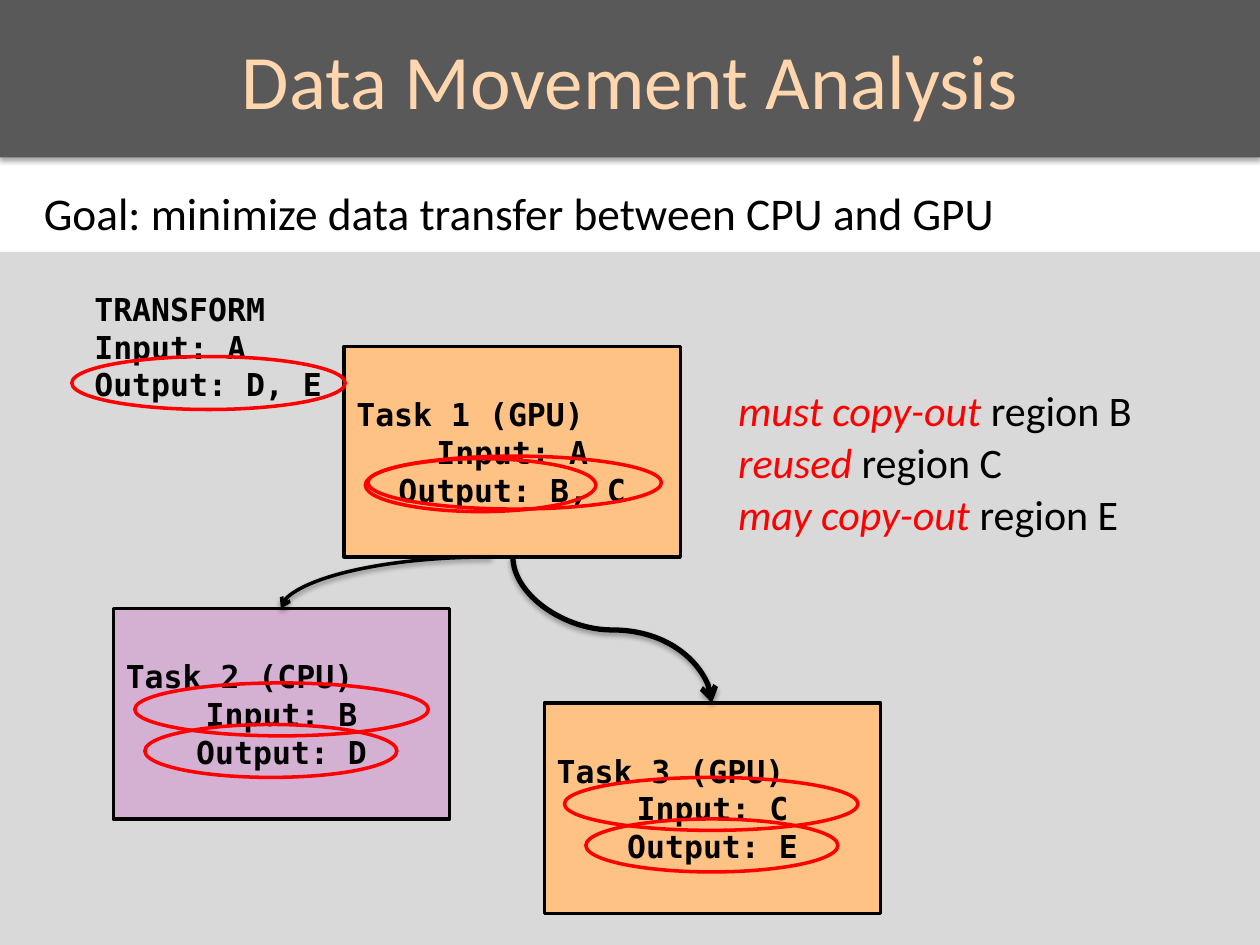
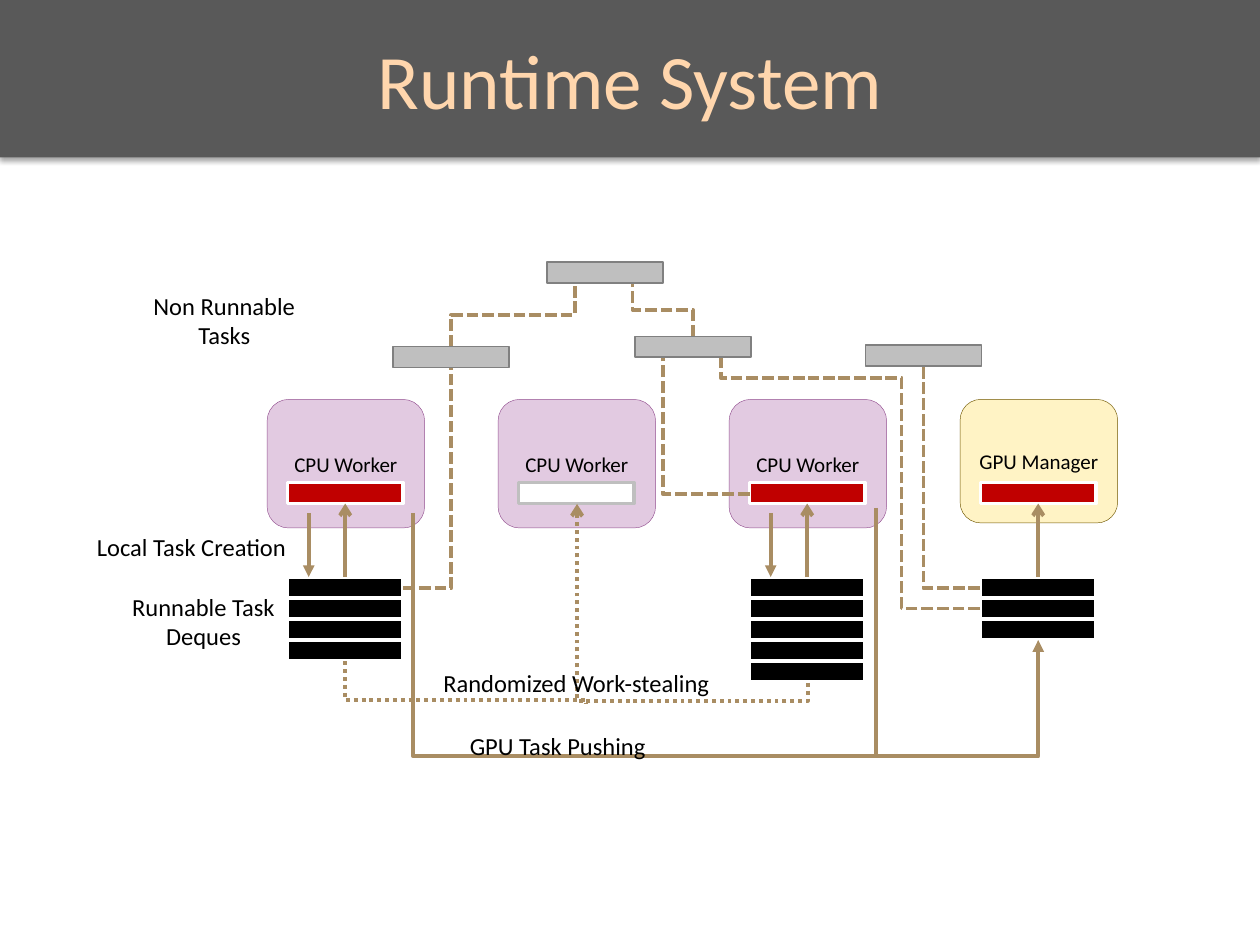
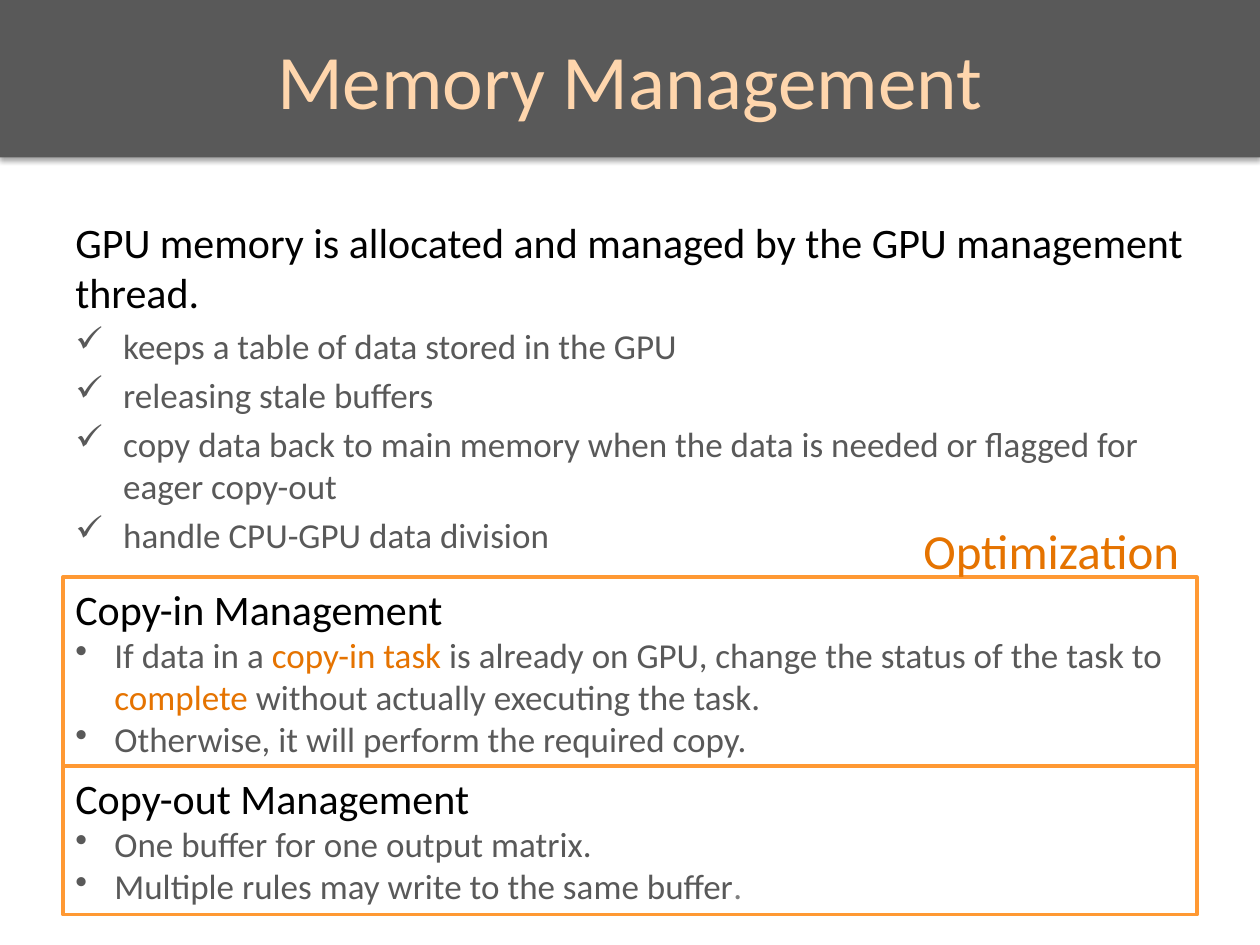
from dataclasses import dataclass
from typing import NamedTuple

from lxml.etree import SubElement
from pptx import Presentation
from pptx.dml.color import RGBColor
from pptx.enum.dml import MSO_LINE
from pptx.enum.shapes import MSO_CONNECTOR, MSO_SHAPE
from pptx.enum.text import MSO_ANCHOR, MSO_AUTO_SIZE, PP_ALIGN
from pptx.oxml.ns import qn
from pptx.util import Inches, Pt

COLORS = {
    "black": "000000", "white": "FFFFFF", "red": "FF0000", "band": "595959",
    "title": "FFD6AD", "panel": "D9D9D9", "gpu_task": "FFC285", "cpu_task": "D4B0D2",
    "cpu": "E2CAE1", "cpu_edge": "945191", "gpu": "FFF3C5", "gpu_edge": "6F5700",
    "busy": "C00000", "silver": "BFBFBF", "gray": "808080", "route": "A98D63",
    "body": "595959", "frame": "FF9933", "accent": "E57300",
}
BODY_FONT, CODE_FONT = "Calibri", "DejaVu Sans Mono"


class Box(NamedTuple):
    left: float
    top: float
    width: float
    height: float


class Run(NamedTuple):
    text: str
    color: str | None = None
    italic: bool = False


@dataclass(frozen=True)
class Paragraph:
    runs: tuple[Run, ...]
    align: PP_ALIGN | None = None
    size: float | None = None
    bullet: str = ""
    indent: float = 0
    before: float = 0


@dataclass(frozen=True)
class Route:
    start: tuple[float, float]
    end: tuple[float, float]
    preset: str = "line"
    vertical_first: bool = False
    adjust: float | None = None
    dash: MSO_LINE | None = None
    tip: str = ""
    color: str = "route"
    width: float = 2.25
    shadow: int = 0


@dataclass(frozen=True)
class Task:
    left: float
    top: float
    lines: tuple[str, str, str]
    fill: str


@dataclass(frozen=True)
class Worker:
    label: str
    queued: int
    creates: bool = True
    fill: str = "cpu"
    edge: str = "cpu_edge"
    height: float = 1.02


def rgb(name: str) -> RGBColor:
    return RGBColor.from_string(COLORS[name])


def plain(*texts: str, **options) -> list[Paragraph]:
    """Make one single-run paragraph per text."""
    return [Paragraph((Run(text),), **options) for text in texts]


def write(shape, paragraphs, *, size, font=BODY_FONT, color="black", bold=False,
          align=PP_ALIGN.LEFT, anchor=MSO_ANCHOR.TOP, wrap=True, grow=False) -> None:
    frame = shape.text_frame
    frame.word_wrap = wrap
    frame.vertical_anchor = anchor
    frame.auto_size = MSO_AUTO_SIZE.SHAPE_TO_FIT_TEXT if grow else MSO_AUTO_SIZE.NONE
    for index, content in enumerate(paragraphs):
        paragraph = frame.add_paragraph() if index else frame.paragraphs[0]
        paragraph.alignment = align if content.align is None else content.align
        paragraph.space_before = Pt(content.before)
        if content.bullet:
            properties = paragraph._p.get_or_add_pPr()
            properties.set("marL", str(Inches(content.indent)))
            properties.set("indent", str(-Inches(content.indent)))
            SubElement(properties, qn("a:buChar"), char=content.bullet)
        for part in content.runs:
            run = paragraph.add_run()
            run.text = part.text
            run.font.name = font
            run.font.size = Pt(content.size or size)
            run.font.bold = bold
            run.font.italic = part.italic
            run.font.color.rgb = rgb(part.color or color)


def add_shadow(properties, alpha: int) -> None:
    effects = properties.find(qn("a:effectLst"))
    shadow = SubElement(effects, qn("a:outerShdw"), blurRad=str(Pt(3.1)), dist=str(Pt(1.8)),
                        dir="5400000", rotWithShape="0")
    tint = SubElement(shadow, qn("a:srgbClr"), val=COLORS["black"])
    SubElement(tint, qn("a:alpha"), val=str(alpha * 1000))


def add_box(slide, box: Box, kind=MSO_SHAPE.RECTANGLE, fill="", line="", width=2.0):
    shape = slide.shapes.add_shape(kind, *map(Inches, box))
    shape.shadow.inherit = False
    if fill:
        shape.fill.solid()
        shape.fill.fore_color.rgb = rgb(fill)
    else:
        shape.fill.background()
    if line:
        shape.line.color.rgb = rgb(line)
        shape.line.width = Pt(width)
    else:
        shape.line.fill.background()
    return shape


def add_text(slide, box: Box, paragraphs, **options) -> None:
    write(slide.shapes.add_textbox(*map(Inches, box)), paragraphs, **options)


def add_label(slide, box: Box, paragraphs, **options) -> None:
    add_text(slide, box, paragraphs, wrap=False, grow=True, **options)


def turn_vertical(properties, route: Route) -> None:
    """Turn a connector so that its first leg runs vertically."""
    (x1, y1), (x2, y2) = route.start, route.end
    width, height = abs(y2 - y1), abs(x2 - x1)
    frame = properties.find(qn("a:xfrm"))
    frame.set("rot", "16200000")
    frame.set("flipH", str(int(y2 > y1)))
    frame.set("flipV", str(int(x2 < x1)))
    offset, extent = frame.find(qn("a:off")), frame.find(qn("a:ext"))
    offset.set("x", str(Inches((x1 + x2 - width) / 2)))
    offset.set("y", str(Inches((y1 + y2 - height) / 2)))
    extent.set("cx", str(Inches(width)))
    extent.set("cy", str(Inches(height)))


def add_route(slide, route: Route):
    connector = slide.shapes.add_connector(
        MSO_CONNECTOR.STRAIGHT, *map(Inches, (*route.start, *route.end)))
    connector.line.color.rgb = rgb(route.color)
    connector.line.width = Pt(route.width)
    if route.dash:
        connector.line.dash_style = route.dash
    properties = connector._element.spPr
    if route.tip:
        SubElement(properties.find(qn("a:ln")), qn("a:tailEnd"), type=route.tip)
    SubElement(properties, qn("a:effectLst"))
    if route.shadow:
        add_shadow(properties, route.shadow)
    geometry = properties.find(qn("a:prstGeom"))
    geometry.set("prst", route.preset)
    if route.adjust is not None:
        SubElement(geometry.find(qn("a:avLst")), qn("a:gd"), name="adj1",
                   fmla=f"val {round(route.adjust * 100000)}")
    if route.vertical_first:
        turn_vertical(properties, route)
    return connector


def start_slide(deck, title: str):
    slide = deck.slides.add_slide(deck.slide_layouts[6])
    band = add_box(slide, Box(0, 0, 10, 1.25), fill="band")
    add_shadow(band._element.spPr, 35)
    add_text(slide, Box(0.5, 0, 9, 1.25), plain(title), size=44, color="title",
             align=PP_ALIGN.CENTER, anchor=MSO_ANCHOR.MIDDLE)
    return slide


TASKS = (
    Task(2.73, 2.75, ("Task 1 (GPU)", "Input: A", "Output: B, C"), "gpu_task"),
    Task(0.9, 4.83, ("Task 2 (CPU)", "Input: B", "Output: D"), "cpu_task"),
    Task(4.32, 5.58, ("Task 3 (GPU)", "Input: C", "Output: E"), "gpu_task"),
)
# Left, top and width of each highlighted region
HIGHLIGHTS = ((2.92, 3.62, 2.33), (2.9, 3.64, 1.83), (1.07, 5.42, 2.33), (4.48, 6.17, 2.33),
              (0.57, 2.83, 2.17), (1.15, 5.75, 2), (4.65, 6.5, 2))
VERDICTS = (("must copy-out ", "region B", 3.45), ("reused ", "region C", 2.32),
            ("may copy-out ", "region E", 3.31))
DEPENDENCIES = (
    Route((3.9, 4.42), (2.23, 4.83), "curvedConnector2", tip="arrow", color="black",
          width=2, shadow=38),
    Route((4.07, 4.42), (5.65, 5.58), "curvedConnector3", True, 0.5, tip="arrow",
          color="black", width=3, shadow=35),
)


def build_data_movement(deck) -> None:
    slide = start_slide(deck, "Data Movement Analysis")
    add_text(slide, Box(0.25, 1.42, 9, 0.5),
             plain("Goal: minimize data transfer between CPU and GPU"), size=25.9)
    add_box(slide, Box(0, 2, 10, 5.5), fill="panel")
    code = dict(size=18, font=CODE_FONT, bold=True)
    for task in TASKS:
        node = add_box(slide, Box(task.left, task.top, 2.67, 1.67), fill=task.fill, line="black")
        name, *regions = task.lines
        write(node, plain(name) + plain(*regions, align=PP_ALIGN.CENTER),
              anchor=MSO_ANCHOR.MIDDLE, **code)
    add_label(slide, Box(0.65, 2.25, 2.01, 1.01),
              plain("TRANSFORM", "Input: A", "Output: D, E"), **code)
    for dependency in DEPENDENCIES:
        add_route(slide, dependency)
    for left, top, width in HIGHLIGHTS:
        add_box(slide, Box(left, top, width, 0.42), MSO_SHAPE.OVAL, line="red")
    for row, (verdict, region, width) in enumerate(VERDICTS):
        add_label(slide, Box(5.76, 3 + row * 0.415, width, 0.5),
                  [Paragraph((Run(verdict, "red", True), Run(region)))], size=24)


WORKERS = (
    Worker("CPU Worker", 4),
    Worker("CPU Worker", 0, creates=False),
    Worker("CPU Worker", 5),
    Worker("GPU Manager", 3, creates=False, fill="gpu", edge="gpu_edge", height=0.98),
)
WORKER_LEFT, WORKER_PITCH = 2.12, 5.5 / 3
SLOT_INSET, SLOT_WIDTH, SLOT_HEIGHT = 0.16, 0.92, 0.5 / 3
SLOT_TOP, QUEUE_TOP = 3.83, 4.58
DOT, DASH = MSO_LINE.ROUND_DOT, MSO_LINE.SQUARE_DOT
STEALING_AND_PUSHING = (
    Route((6.41, 5.42), (4.58, 4), "bentConnector3", True, -0.1, DOT, "arrow"),
    Route((2.74, 5.25), (4.65, 5.59), "bentConnector3", True, 0.9, DOT),
    Route((3.28, 4.07), (8.24, 5.08), "bentConnector3", True, 1.915, tip="triangle"),
    Route((6.95, 4.03), (6.95, 6)),
)
TASK_GRAPH = (
    Route((7.78, 4.67), (7.33, 2.91), "bentConnector2", dash=DASH),
    Route((5.95, 3.92), (5.26, 2.83), "bentConnector2", dash=DASH),
    Route((7.78, 4.83), (6.41, 3), "bentConnector3", adjust=0.456, dash=DASH),
    Route((5.72, 2.83), (6.41, 3), "bentConnector2", True, dash=DASH),
    Route((3.2, 4.67), (3.58, 2.92), "bentConnector2", dash=DASH),
    Route((5.5, 2.67), (5.02, 2.25), "bentConnector3", True, 0.5, DASH),
    Route((3.58, 2.75), (4.56, 2.25), "bentConnector3", True, 0.5, DASH),
)
WAITING_TASKS = ((3.12, 2.75), (6.87, 2.74), (5.04, 2.67), (4.34, 2.08))
RUNTIME_LABELS = (
    (Box(3.42, 5.25, 2.47, 0.34), ("Randomized Work-stealing",)),
    (Box(3.63, 5.75, 1.61, 0.34), ("GPU Task Pushing",)),
    (Box(0.67, 4.17, 1.72, 0.34), ("Local Task Creation",)),
    (Box(0.94, 4.65, 1.35, 0.57), ("Runnable Task", "Deques")),
    (Box(1.09, 2.26, 1.38, 0.57), ("Non Runnable", "Tasks")),
)


def add_slot(slide, left: float, top: float, fill: str, line="white", width=2.0):
    return add_box(slide, Box(left, top, SLOT_WIDTH, SLOT_HEIGHT), fill=fill, line=line,
                   width=width)


def add_worker(slide, worker: Worker, left: float) -> None:
    body = add_box(slide, Box(left, 3.17, 1.25, worker.height), MSO_SHAPE.ROUNDED_RECTANGLE,
                   worker.fill, worker.edge, 0.25)
    write(body, plain(worker.label), size=12, align=PP_ALIGN.CENTER, anchor=MSO_ANCHOR.MIDDLE)
    slot_left = left + SLOT_INSET
    if not worker.queued:
        add_slot(slide, slot_left, SLOT_TOP, "white", "silver")
        return
    running = add_slot(slide, slot_left, SLOT_TOP, "busy")
    queue = [add_slot(slide, slot_left, QUEUE_TOP + row * SLOT_HEIGHT, "black")
             for row in range(worker.queued)]
    if worker.creates:
        creation_x = slot_left + 0.17
        add_route(slide, Route((creation_x, 4.07), (creation_x, QUEUE_TOP), tip="triangle"))
    middle = slot_left + SLOT_WIDTH / 2
    fetch = add_route(slide, Route((middle, QUEUE_TOP), (middle, 4), tip="arrow"))
    fetch.begin_connect(queue[0], 0)
    fetch.end_connect(running, 2)


def build_runtime(deck) -> None:
    slide = start_slide(deck, "Runtime System")
    for column, worker in enumerate(WORKERS):
        add_worker(slide, worker, WORKER_LEFT + column * WORKER_PITCH)
    for route in STEALING_AND_PUSHING + TASK_GRAPH:
        add_route(slide, route)
    for left, top in WAITING_TASKS:
        add_slot(slide, left, top, "silver", "gray", 1)
    for box, lines in RUNTIME_LABELS:
        align = PP_ALIGN.CENTER if len(lines) > 1 else PP_ALIGN.LEFT
        add_label(slide, box, plain(*lines), size=14, align=align)


DUTIES = (
    "keeps a table of data stored in the GPU",
    "releasing stale buffers",
    "copy data back to main memory when the data is needed or flagged for eager copy-out",
    "handle CPU-GPU data division",
)
POLICIES = (
    (Box(0.5, 4.58, 9, 1.51), "Copy-in Management", (
        (Run("If data in a "), Run("copy-in task", "accent"),
         Run(" is already on GPU, change the status of the task to "),
         Run("complete", "accent"), Run(" without actually executing the task.")),
        (Run("Otherwise, it will perform the required copy."),),
    )),
    (Box(0.5, 6.08, 9, 1.18), "Copy-out Management", (
        (Run("One buffer for one output matrix."),),
        (Run("Multiple rules may write to the same buffer"), Run(".", "gray")),
    )),
)


def heading(text: str) -> Paragraph:
    return Paragraph((Run(text, "black"),), size=24)


def build_memory(deck) -> None:
    slide = start_slide(deck, "Memory Management")
    lead = heading("GPU memory is allocated and managed by the GPU management thread.")
    add_text(slide, Box(0.5, 1.67, 9, 2.73),
             [lead] + plain(*DUTIES, bullet="✓", indent=0.38, before=4), size=20, color="body")
    for box, name, points in POLICIES:
        policy = add_box(slide, box, fill="white", line="frame")
        bullets = [Paragraph(runs, bullet="•", indent=0.31) for runs in points]
        write(policy, [heading(name)] + bullets, size=20, color="body", grow=True)
    add_label(slide, Box(7.23, 4.08, 2.35, 0.57), plain("Optimization"), size=28, color="accent")


def main() -> None:
    deck = Presentation()
    deck.slide_width, deck.slide_height = Inches(10), Inches(7.5)
    build_data_movement(deck)
    build_runtime(deck)
    build_memory(deck)
    deck.save("out.pptx")


if __name__ == "__main__":
    main()
